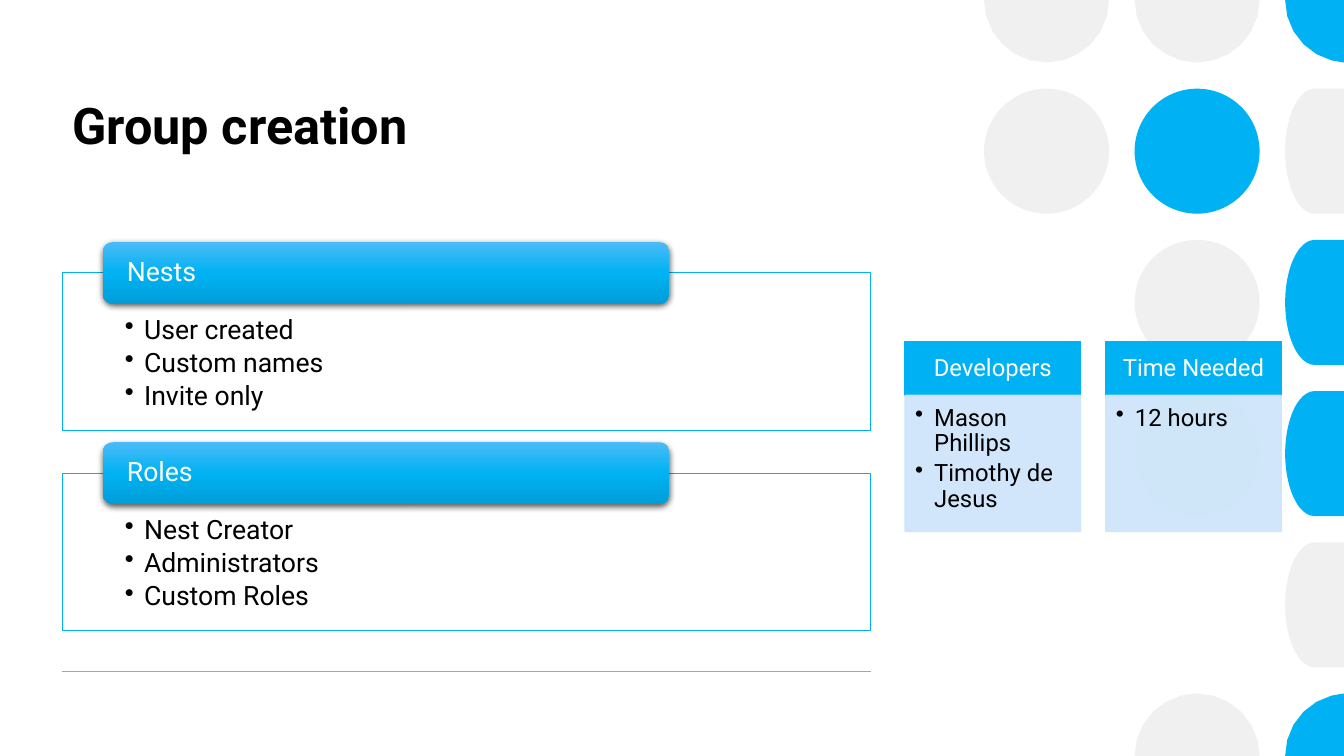
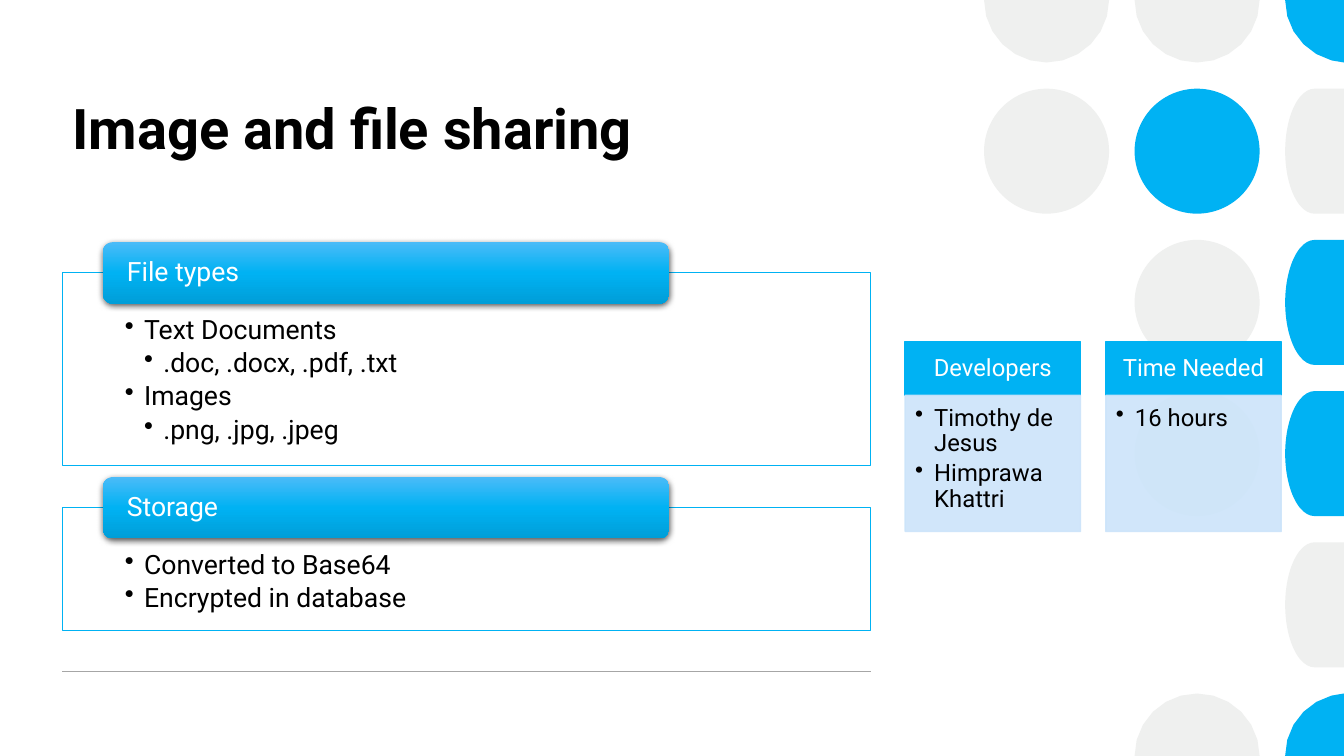
import dataclasses
import math

import lxml.etree
import pptx
import pptx.dml.color
import pptx.enum.shapes
import pptx.enum.text
import pptx.oxml.ns
import pptx.util

Inches = pptx.util.Inches
Pt = pptx.util.Pt
qn = pptx.oxml.ns.qn
RGB = pptx.dml.color.RGBColor.from_string
SHAPE = pptx.enum.shapes.MSO_SHAPE
ANCHOR = pptx.enum.text.MSO_ANCHOR
ALIGN = pptx.enum.text.PP_ALIGN


@dataclasses.dataclass(frozen=True)
class Theme:
    font: str = "Roboto"
    black: str = "000000"
    white: str = "FFFFFF"
    blue: str = "00B2F3"
    pale: str = "CCE4FA"
    gray: str = "EFF0EF"
    rule: str = "A6A6A6"
    gradient: tuple = ((0, "4BBBF8"), (50, "00B2F3"), (100, "009ED8"))
    list_size: int = 19
    card_size: int = 17


T = Theme()
WIDTH, HEIGHT = Inches(13.33), Inches(7.5)

# Layout, in percent of the slide's width or height
LEFT, CONTENT_W = 4.65, 60.15
TAB_X, TAB_W, TAB_H = 7.65, 42.15, 8.13
STACK_MIDDLE, PANEL_GAP, PANEL_BASE, PANEL_LINE = 57.73, 5.6, 7.07, 4.6
CARD_X, CARD_Y, CARD_W, CARD_PITCH = 67.35, 45.2, 13.05, 14.93
CARD_HEAD_H, CARD_BODY_H = 7.1, 18
DOT_X, DOT_PITCH_X, DOT_PITCH_Y = 77.87, 11.2, 20
DOT_RADIUS = Inches(0.62)
DOT_ROWS = ("ggb", "gbg", ".gb", ".gb", "..g", ".gb")  # g gray, b blue


def px(share):
    return round(WIDTH * share / 100)


def py(share):
    return round(HEIGHT * share / 100)


# Basic elements
def paint(sp, fill, line=None, width=1, alpha=None, line_alpha=None):
    sp.shadow.inherit = False
    sp.fill.solid()
    sp.fill.fore_color.rgb = RGB(fill)
    if line:
        sp.line.color.rgb = RGB(line)
        sp.line.width = Pt(width)
    else:
        sp.line.fill.background()
    colors = list(sp._element.spPr.iter(qn("a:srgbClr")))
    for color, percent in zip(colors, (alpha, line_alpha)):
        if percent:
            lxml.etree.SubElement(color, qn("a:alpha"), val=str(percent * 1000))


def add_box(slide, kind, x, y, w, h):
    return slide.shapes.add_shape(kind, px(x), py(y), px(w), py(h))


def frame(sp, insets, anchor):
    tf = sp.text_frame
    tf.word_wrap = True
    tf.vertical_anchor = anchor
    tf.margin_left, tf.margin_top, tf.margin_right, tf.margin_bottom = map(Inches, insets)
    return tf


def format_paragraph(p, size, color, align=ALIGN.LEFT, bold=False):
    p.alignment = align
    for r in p.runs:
        r.font.name = T.font
        r.font.size = Pt(size)
        r.font.bold = bold
        r.font.color.rgb = RGB(color)


def write_label(sp, text, size, insets, align):
    tf = frame(sp, insets, ANCHOR.MIDDLE)
    tf.text = text
    p = tf.paragraphs[0]
    p.line_spacing = 0.9
    format_paragraph(p, size, T.white, align)


def write_bullets(sp, items, size, insets):
    """Write (level, text) items as a bulleted list."""
    tf = frame(sp, insets, ANCHOR.TOP)
    tf.text = "\n".join(text for _, text in items)
    step = Inches(0.19)
    for p, (level, _) in zip(tf.paragraphs, items):
        p.line_spacing = 0.9
        p.space_after = Pt(round(size * 0.175, 1))
        format_paragraph(p, size, T.black)
        pPr = p._p.get_or_add_pPr()
        pPr.set("marL", str(step * level))
        pPr.set("indent", str(-step))
        lxml.etree.SubElement(pPr, qn("a:buChar"), char="•")


# Shared background
def add_cut_dot(slide, cx, cy):
    """Draw the part of a dot that lies inside the top, bottom and right edges."""
    r = DOT_RADIUS
    start = 180 if cy + r > HEIGHT else 0
    end = 180 if cy - r < 0 else 360
    if cx + r > WIDTH:
        start, end = max(start, 90), min(end, 270)
    builder = slide.shapes.build_freeform(min(cx, WIDTH), cy)
    points = []
    for degree in range(start, end + 1, 15):
        angle = math.radians(degree)
        x, y = cx + r * math.cos(angle), cy + r * math.sin(angle)
        points.append((round(min(x, WIDTH)), round(y)))
    builder.add_line_segments(points, close=True)
    return builder.convert_to_shape()


def add_dot(slide, cx, cy, color):
    r = DOT_RADIUS
    if cy - r < 0 or cy + r > HEIGHT:
        sp = add_cut_dot(slide, cx, cy)
    elif cx + r > WIDTH:
        left = cx - r
        sp = slide.shapes.add_shape(SHAPE.FLOWCHART_DELAY, left, cy - r, WIDTH - left, 2 * r)
        sp.rotation = 180
    else:
        sp = slide.shapes.add_shape(SHAPE.OVAL, cx - r, cy - r, 2 * r, 2 * r)
    paint(sp, color)


def add_background(slide):
    colors = {"g": T.gray, "b": T.blue}
    for row, marks in enumerate(DOT_ROWS):
        for col, mark in enumerate(marks):
            if mark in colors:
                add_dot(slide, px(DOT_X + col * DOT_PITCH_X), py(row * DOT_PITCH_Y), colors[mark])
    y = py(88.8)
    line = slide.shapes.add_connector(
        pptx.enum.shapes.MSO_CONNECTOR.STRAIGHT, px(LEFT), y, px(LEFT + CONTENT_W), y)
    line.line.color.rgb = RGB(T.rule)
    line.line.width = Pt(1)
    lxml.etree.SubElement(line._element.spPr, qn("a:effectLst"))


def add_title(slide, text, size):
    sp = slide.shapes.add_textbox(px(LEFT), py(11.73), px(CONTENT_W), py(18))
    tf = frame(sp, (0.1, 0.05, 0.1, 0.05), ANCHOR.TOP)
    tf.text = text
    format_paragraph(tf.paragraphs[0], size, T.black, bold=True)


# Panels with a raised heading tab
def style_tab(sp):
    paint(sp, T.blue)
    sp.fill.gradient()
    sp.fill.gradient_angle = 270
    spPr = sp._element.spPr
    stops = spPr.find(".//" + qn("a:gsLst"))
    stops.clear()
    for position, color in T.gradient:
        stop = lxml.etree.SubElement(stops, qn("a:gs"), pos=str(position * 1000))
        lxml.etree.SubElement(stop, qn("a:srgbClr"), val=color)
    shadow = lxml.etree.SubElement(
        spPr.find(qn("a:effectLst")), qn("a:outerShdw"), blurRad=str(int(Pt(4.5))),
        dist=str(int(Pt(1.5))), dir="5400000", algn="ctr", rotWithShape="0")
    color = lxml.etree.SubElement(shadow, qn("a:srgbClr"), val=T.black)
    lxml.etree.SubElement(color, qn("a:alpha"), val="63000")


def add_panel(slide, y, h, heading, items):
    sp = add_box(slide, SHAPE.RECTANGLE, LEFT, y, CONTENT_W, h)
    paint(sp, T.white, T.blue, 0.5, alpha=90)
    write_bullets(sp, items, T.list_size, (0.62, 0.43, 0.62, 0.15))
    tab = add_box(slide, SHAPE.ROUNDED_RECTANGLE, TAB_X, y - TAB_H / 2, TAB_W, TAB_H)
    style_tab(tab)
    write_label(tab, heading, T.list_size, (0.21, 0, 0.21, 0), ALIGN.LEFT)


def add_panels(slide, panels):
    heights = [PANEL_BASE + PANEL_LINE * len(items) for _, items in panels]
    total = TAB_H / 2 + sum(heights) + PANEL_GAP * (len(panels) - 1)
    y = STACK_MIDDLE - total / 2 + TAB_H / 2
    for (heading, items), h in zip(panels, heights):
        add_panel(slide, y, h, heading, items)
        y += h + PANEL_GAP


# Cards for staffing and effort
def add_cards(slide, cards):
    for i, (heading, lines) in enumerate(cards):
        x = CARD_X + i * CARD_PITCH
        head = add_box(slide, SHAPE.RECTANGLE, x, CARD_Y, CARD_W, CARD_HEAD_H)
        paint(head, T.blue, T.blue)
        write_label(head, heading, T.card_size, (0.13, 0.08, 0.13, 0.08), ALIGN.CENTER)
        body = add_box(slide, SHAPE.RECTANGLE, x, CARD_Y + CARD_HEAD_H, CARD_W, CARD_BODY_H)
        paint(body, T.pale, T.pale, alpha=90, line_alpha=90)
        write_bullets(body, [(1, text) for text in lines], T.card_size, (0.1, 0.1, 0.13, 0.15))


def add_feature_slide(prs, title, title_size, panels, developers, time):
    slide = prs.slides.add_slide(prs.slide_layouts[6])
    add_background(slide)
    add_title(slide, title, title_size)
    add_panels(slide, panels)
    add_cards(slide, [("Developers", developers), ("Time Needed", [time])])


def main():
    prs = pptx.Presentation()
    prs.slide_width, prs.slide_height = WIDTH, HEIGHT
    add_feature_slide(
        prs, "Group creation", 36,
        [("Nests", [(1, "User created"), (1, "Custom names"), (1, "Invite only")]),
         ("Roles", [(1, "Nest Creator"), (1, "Administrators"), (1, "Custom Roles")])],
        ["Mason Phillips", "Timothy de Jesus"], "12 hours")
    add_feature_slide(
        prs, "Image and file sharing", 40,
        [("File types", [(1, "Text Documents"), (2, ".doc, .docx, .pdf, .txt"),
                         (1, "Images"), (2, ".png, .jpg, .jpeg")]),
         ("Storage", [(1, "Converted to Base64"), (1, "Encrypted in database")])],
        ["Timothy de Jesus", "Himprawa Khattri"], "16 hours")
    prs.save("out.pptx")


if __name__ == "__main__":
    main()
